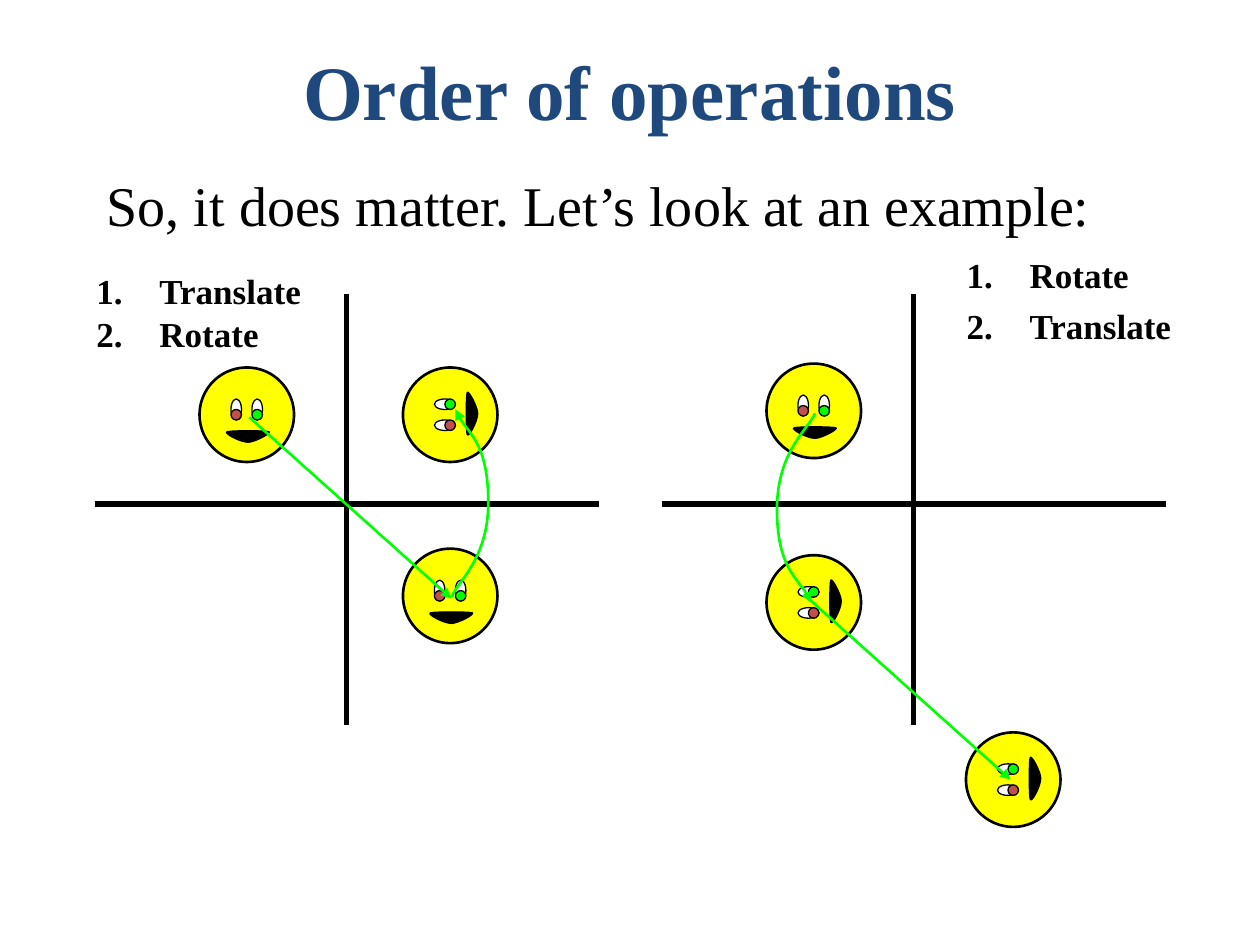
from dataclasses import dataclass

from lxml.etree import SubElement
from pptx import Presentation
from pptx.dml.color import RGBColor
from pptx.enum.shapes import MSO_CONNECTOR as Connector, MSO_SHAPE as Preset
from pptx.enum.text import MSO_ANCHOR as Anchor, PP_ALIGN as Align
from pptx.oxml.ns import qn
from pptx.util import Emu, Pt

PX = 9525  # 96 px to the inch
FONT = "Times New Roman"
BLACK, WHITE, YELLOW = "000000", "FFFFFF", "FFFF00"
BROWN, GREEN, NAVY = "C0504D", "00FF00", "1F497D"
Point = tuple[int, int]


@dataclass(frozen=True)
class Face:
    left: int
    top: int
    rotation: int = 0


@dataclass(frozen=True)
class Panel:
    left: int
    faces: list[Face]
    arrow: tuple[Point, Point]
    arc: list[Point]
    steps: list[str]
    steps_box: tuple[int, int, int, int]
    step_gap: int


# Face parts, relative to the top left corner of the face
FACE_SIZE = 72
EYES = [(24, BROWN), (40, GREEN)]
MOUTH = [(21, 49), (18, 50), (31, 57), (37, 57), (42, 57),
         (55, 50), (53, 49), (50, 48), (24, 48), (21, 49)]

PANELS = [
    Panel(72, [Face(152, 280), Face(307, 418), Face(307, 280, 270)],
          ((190, 318), (344, 456)),
          [(344, 455), (348, 444), (372, 426), (372, 383),
           (372, 339), (352, 326), (347, 312)],
          ["Translate", "Rotate"], (64, 197, 177, 74), 1),
    Panel(504, [Face(584, 277), Face(584, 423, 270), Face(736, 558, 270)],
          ((616, 456), (770, 594)),
          [(621, 315), (616, 327), (592, 344), (592, 388),
           (592, 431), (612, 444), (618, 459)],
          ["Rotate", "Translate"], (727, 185, 185, 80), 5),
]


def px(length: int) -> Emu:
    return Emu(length * PX)


def rgb(color: str) -> RGBColor:
    return RGBColor.from_string(color)


def style(shape, fill: str | None, line: str, width: float) -> None:
    shape.shadow.inherit = False
    if fill:
        shape.fill.solid()
        shape.fill.fore_color.rgb = rgb(fill)
    else:
        shape.fill.background()
    shape.line.color.rgb = rgb(line)
    shape.line.width = Pt(width)


def add_arrowhead(shape) -> None:
    SubElement(shape.line._get_or_add_ln(), qn("a:tailEnd"), type="triangle")


def add_ellipse(shapes, left: int, top: int, width: int, height: int,
                fill: str, line_width: float = 0.75) -> None:
    shape = shapes.add_shape(Preset.OVAL, px(left), px(top), px(width), px(height))
    style(shape, fill, BLACK, line_width)


def add_curve(shapes, points: list[Point], close: bool = False):
    """Draw cubic curves: a start point, then three points per curve."""
    builder = shapes.build_freeform(*points[0], scale=PX)
    builder.add_line_segments(points[1:], close=close)
    shape = builder.convert_to_shape()
    segments = list(shape.element.iter(qn("a:lnTo")))
    for start in range(0, len(points) - 1, 3):
        curve = segments[start].makeelement(qn("a:cubicBezTo"))
        segments[start].addprevious(curve)
        for segment in segments[start:start + 3]:
            curve.append(segment[0])
            segment.getparent().remove(segment)
    return shape


def add_line(shapes, start: Point, end: Point, color: str, width: float):
    line = shapes.add_connector(Connector.STRAIGHT, *map(px, start + end))
    line.line.color.rgb = rgb(color)
    line.line.width = Pt(width)
    SubElement(line.element.spPr, qn("a:effectLst"))
    return line


def add_face(page, face: Face) -> None:
    group = page.shapes.add_group_shape()
    parts, left, top = group.shapes, face.left, face.top
    add_ellipse(parts, left, top, FACE_SIZE, FACE_SIZE, YELLOW, 1.5)
    mouth = add_curve(parts, [(left + x, top + y) for x, y in MOUTH], close=True)
    style(mouth, BLACK, BLACK, 0.75)
    for x, color in EYES:
        add_ellipse(parts, left + x, top + 24, 8, 16, WHITE)
        add_ellipse(parts, left + x, top + 32, 8, 8, color)
    group.rotation = face.rotation


def add_axes(page, left: int) -> None:
    shapes = page.shapes.add_group_shape().shapes
    add_line(shapes, (left + 192, 224), (left + 192, 552), BLACK, 3)
    add_line(shapes, (left, 384), (left + 384, 384), BLACK, 3)


def add_text(page, place: tuple[int, int, int, int], lines: list[str], *,
             size: int, color: str = BLACK, bold: bool = False,
             align: Align = Align.LEFT, anchor: Anchor = Anchor.TOP,
             inset_top: int = 5, gap: int = 0, numbered: bool = False) -> None:
    frame = page.shapes.add_textbox(*map(px, place)).text_frame
    frame.word_wrap = True
    frame.vertical_anchor = anchor
    frame.margin_top = px(inset_top)
    for index, line in enumerate(lines):
        para = frame.add_paragraph() if index else frame.paragraphs[0]
        para.alignment = align
        if index:
            para.space_before = Pt(gap)
        if numbered:
            props = para._p.get_or_add_pPr()
            props.set("marL", str(px(48)))
            props.set("indent", str(px(-48)))
            SubElement(props, qn("a:buFont"), typeface="+mj-lt")
            SubElement(props, qn("a:buAutoNum"), type="arabicPeriod")
        span = para.add_run()
        span.text = line
        span.font.name = FONT
        span.font.size = Pt(size)
        span.font.bold = bold
        span.font.color.rgb = rgb(color)


def add_panel(page, panel: Panel) -> None:
    add_axes(page, panel.left)
    for face in panel.faces:
        add_face(page, face)
    # Movements
    arc = add_curve(page.shapes, panel.arc)
    style(arc, None, GREEN, 1.5)
    add_arrowhead(arc)
    add_arrowhead(add_line(page.shapes, *panel.arrow, GREEN, 1.5))
    # Numbered steps
    add_text(page, panel.steps_box, panel.steps, size=20, bold=True,
             inset_top=8, gap=panel.step_gap, numbered=True)


def main() -> None:
    deck = Presentation()
    deck.slide_width, deck.slide_height = px(960), px(720)
    page = deck.slides.add_slide(deck.slide_layouts[6])
    # Heading
    add_text(page, (72, 32, 816, 72), ["Order of operations"], size=44,
             color=NAVY, bold=True, align=Align.CENTER, anchor=Anchor.MIDDLE)
    add_text(page, (72, 120, 816, 48),
             ["So, it does matter. Let’s look at an example:"],
             size=32, inset_top=10)
    # The two orders of operations
    for panel in PANELS:
        add_panel(page, panel)
    deck.save("out.pptx")


if __name__ == "__main__":
    main()
